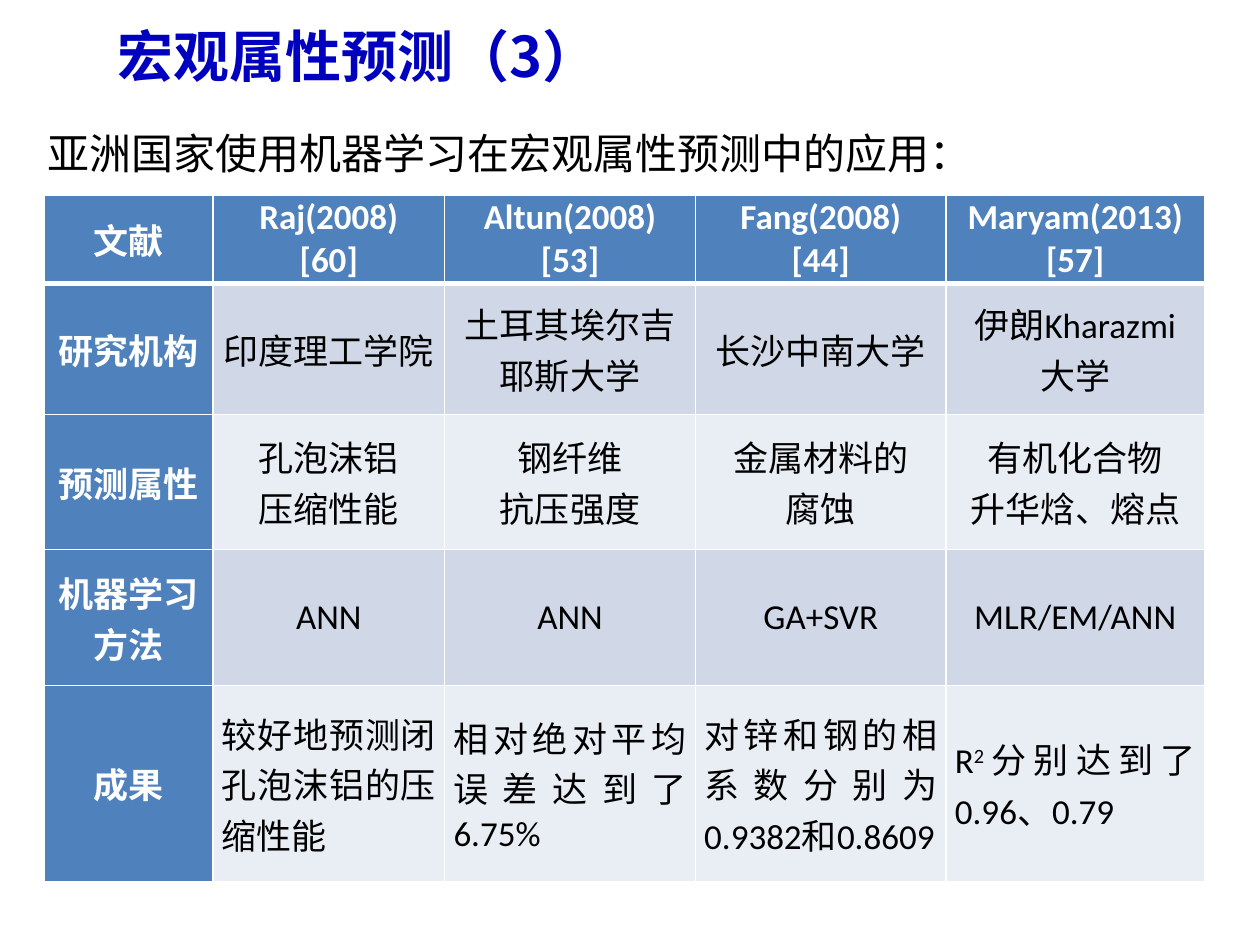
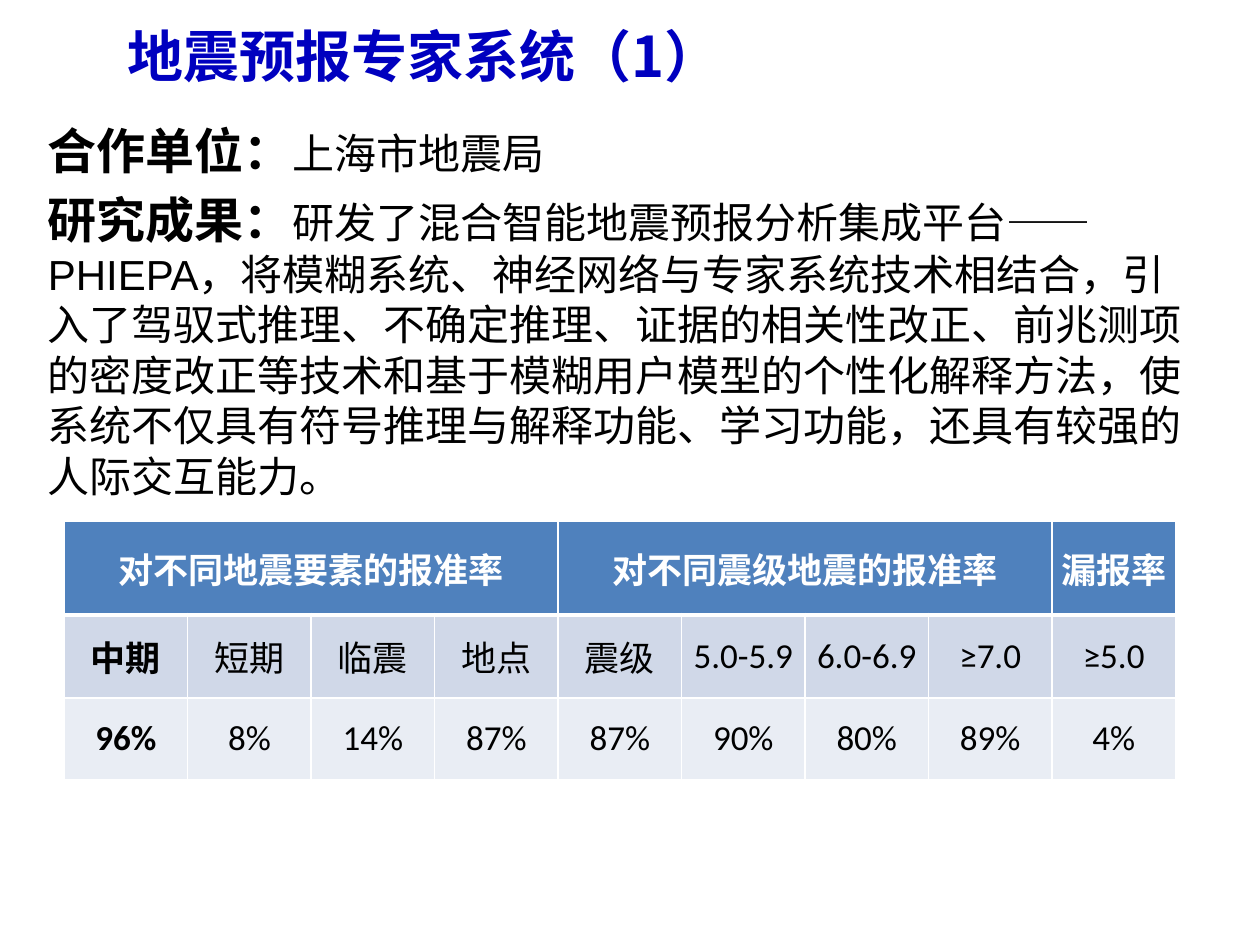
from lxml import etree
from pptx import Presentation
from pptx import util as u
from pptx.dml.color import RGBColor
from pptx.enum import text
from pptx.oxml.ns import qn

# Shared look
TITLE_BLUE = RGBColor(0x00, 0x00, 0xBF)
HEADER_BLUE = RGBColor(0x4F, 0x81, 0xBD)
BANDS = [RGBColor(0xD0, 0xD8, 0xE8), RGBColor(0xE9, 0xED, 0xF4)]
BLACK = RGBColor(0, 0, 0)
WHITE = RGBColor(0xFF, 0xFF, 0xFF)
TITLE_FONT = "Noto Sans CJK SC"
LABEL_FONT = "Noto Sans CJK JP"
BODY_FONT = "Arial"
TABLE_FONT = "Calibri"
CENTER, JUSTIFY, LEFT = (text.PP_ALIGN.CENTER, text.PP_ALIGN.JUSTIFY,
                         text.PP_ALIGN.LEFT)

# Slide 1 content: a line break starts a paragraph, ^ marks a superscript
PREDICTION_TITLE = "宏观属性预测（3）"
PREDICTION_LEAD = "亚洲国家使用机器学习在宏观属性预测中的应用："
STUDIES = [
    ["文献", "Raj(2008)\n[60]", "Altun(2008)\n[53]", "Fang(2008)\n[44]",
     "Maryam(2013)\n[57]"],
    ["研究机构", "印度理工学院", "土耳其埃尔吉耶斯大学", "长沙中南大学",
     "伊朗Kharazmi\n大学"],
    ["预测属性", "孔泡沫铝\n压缩性能", "钢纤维\n抗压强度", "金属材料的\n腐蚀",
     "有机化合物\n升华焓、熔点"],
    ["机器学习方法", "ANN", "ANN", "GA+SVR", "MLR/EM/ANN"],
    ["成果", "较好地预测闭孔泡沫铝的压缩性能", "相对绝对平均误差达到了6.75%",
     "对锌和钢的相系数分别为0.9382和0.8609", "R^2^分别达到了0.96、0.79"],
]
STUDY_COLUMNS = [1.34, 1.84, 1.99, 1.99, 2.05]
STUDY_ROWS = [0.7, 1.04, 1.07, 1.08, 1.56]

# Slide 2 content
EARTHQUAKE_TITLE = "地震预报专家系统（1）"
EARTHQUAKE_POINTS = [
    ("合作单位：", "上海市地震局"),
    ("研究成果：",
     "研发了混合智能地震预报分析集成平台——PHIEPA，将模糊系统、神经网络与专家系统技术相结合，"
     "引入了驾驭式推理、不确定推理、证据的相关性改正、前兆测项的密度改正等技术和基于模糊用户模型的"
     "个性化解释方法，使系统不仅具有符号推理与解释功能、学习功能，还具有较强的人际交互能力。"),
]
RATES = [
    ["对不同地震要素的报准率", "", "", "", "对不同震级地震的报准率", "", "", "",
     "漏报率"],
    ["中期", "短期", "临震", "地点", "震级", "5.0-5.9", "6.0-6.9", "≥7.0", "≥5.0"],
    ["96%", "8%", "14%", "87%", "87%", "90%", "80%", "89%", "4%"],
]
RATE_COLUMNS = [0.98] * 9
RATE_ROWS = [0.74, 0.66, 0.65]
RATE_SPANS = [(0, 3), (4, 7)]


def place(shape, left, top, width, height):
    shape.left, shape.top = u.Inches(left), u.Inches(top)
    shape.width, shape.height = u.Inches(width), u.Inches(height)


def add_run(paragraph, words, size, font, color, bold=False, raised=False):
    run = paragraph.add_run()
    run.text = words
    run.font.size, run.font.name, run.font.bold = u.Pt(size), font, bold
    run.font.color.rgb = color
    properties = run.font._element
    properties.set("lang", "zh-CN")
    east_asian = etree.SubElement(properties, qn("a:ea"))
    east_asian.set("typeface", LABEL_FONT if font == LABEL_FONT else TITLE_FONT)
    if raised:
        properties.set("baseline", "30000")


def add_title(slide, words, left):
    title = slide.shapes.title
    place(title, left, 0, 9, 0.87)
    title.text_frame.vertical_anchor = text.MSO_ANCHOR.MIDDLE
    paragraph = title.text_frame.paragraphs[0]
    paragraph.alignment = LEFT
    add_run(paragraph, words, 32, TITLE_FONT, TITLE_BLUE, True)


def set_borders(cell, bottom):
    """White lines round a cell; they precede the fill in the XML."""
    properties = cell._tc.get_or_add_tcPr()
    widths = {"a:lnL": 1, "a:lnR": 1, "a:lnT": 1, "a:lnB": bottom}
    for position, (tag, width) in enumerate(widths.items()):
        line = etree.Element(qn(tag), w=str(u.Pt(width)))
        fill = etree.SubElement(line, qn("a:solidFill"))
        etree.SubElement(fill, qn("a:srgbClr"), val=str(WHITE))
        properties.insert(position, line)


def fill_cell(cell, words, fill, color, bold, alignment, bottom):
    cell.fill.solid()
    cell.fill.fore_color.rgb = fill
    set_borders(cell, bottom)
    cell.margin_left = cell.margin_right = u.Inches(0.07)
    cell.margin_top = cell.margin_bottom = 0
    cell.vertical_anchor = text.MSO_ANCHOR.MIDDLE
    frame = cell.text_frame
    for index, line in enumerate(words.split("\n") if words else []):
        paragraph = frame.add_paragraph() if index else frame.paragraphs[0]
        paragraph.alignment = alignment
        for part, piece in enumerate(line.split("^")):
            add_run(paragraph, piece, 20, TABLE_FONT, color, bold, part % 2 == 1)


def add_banded_table(slide, rows, left, top, widths, heights, spans=(),
                     header_column=False, justify_last=False):
    frame = slide.shapes.add_table(
        len(rows), len(widths), u.Inches(left), u.Inches(top),
        u.Inches(sum(widths)), u.Inches(sum(heights)))
    table = frame.table
    table.first_col = header_column
    for column, width in zip(table.columns, widths):
        column.width = u.Inches(width)
    for row, height in zip(table.rows, heights):
        row.height = u.Inches(height)
    for r, row in enumerate(rows):
        for c, words in enumerate(row):
            header = r == 0 or (header_column and c == 0)
            fill = HEADER_BLUE if header else BANDS[(r - 1) % 2]
            justified = justify_last and r == len(rows) - 1 and not header
            fill_cell(table.cell(r, c), words, fill,
                      WHITE if header else BLACK, header or c == 0,
                      JUSTIFY if justified else CENTER, 1 if r else 3)
    for first, last in spans:
        table.cell(0, first).merge(table.cell(0, last))


def build_prediction_slide(presentation):
    slide = presentation.slides.add_slide(presentation.slide_layouts[5])
    add_title(slide, PREDICTION_TITLE, 0.83)
    lead = slide.shapes.add_textbox(
        u.Inches(0.28), u.Inches(0.96), u.Inches(7.6), u.Inches(0.5))
    lead.text_frame.word_wrap = True
    add_run(lead.text_frame.paragraphs[0], PREDICTION_LEAD, 24, LABEL_FONT, BLACK)
    add_banded_table(slide, STUDIES, 0.35, 1.55, STUDY_COLUMNS, STUDY_ROWS,
                     header_column=True, justify_last=True)


def build_earthquake_slide(presentation):
    slide = presentation.slides.add_slide(presentation.slide_layouts[1])
    add_title(slide, EARTHQUAKE_TITLE, 0.91)
    body = slide.placeholders[1]
    place(body, 0.28, 0.91, 9.22, 5.78)
    frame = body.text_frame
    frame.auto_size = text.MSO_AUTO_SIZE.NONE
    for index, (label, words) in enumerate(EARTHQUAKE_POINTS):
        paragraph = frame.add_paragraph() if index else frame.paragraphs[0]
        properties = paragraph._p.get_or_add_pPr()
        properties.set("marL", "0")
        properties.set("indent", "0")
        etree.SubElement(properties, qn("a:buNone"))
        paragraph.space_before = u.Pt(5.6 * index)
        add_run(paragraph, label, 28, LABEL_FONT, BLACK, True)
        add_run(paragraph, words, 24, BODY_FONT, BLACK)
    add_banded_table(slide, RATES, 0.51, 4.14, RATE_COLUMNS, RATE_ROWS, RATE_SPANS)


def main():
    presentation = Presentation()
    presentation.slide_width, presentation.slide_height = u.Inches(10), u.Inches(7.5)
    build_prediction_slide(presentation)
    build_earthquake_slide(presentation)
    presentation.save("out.pptx")


if __name__ == "__main__":
    main()
